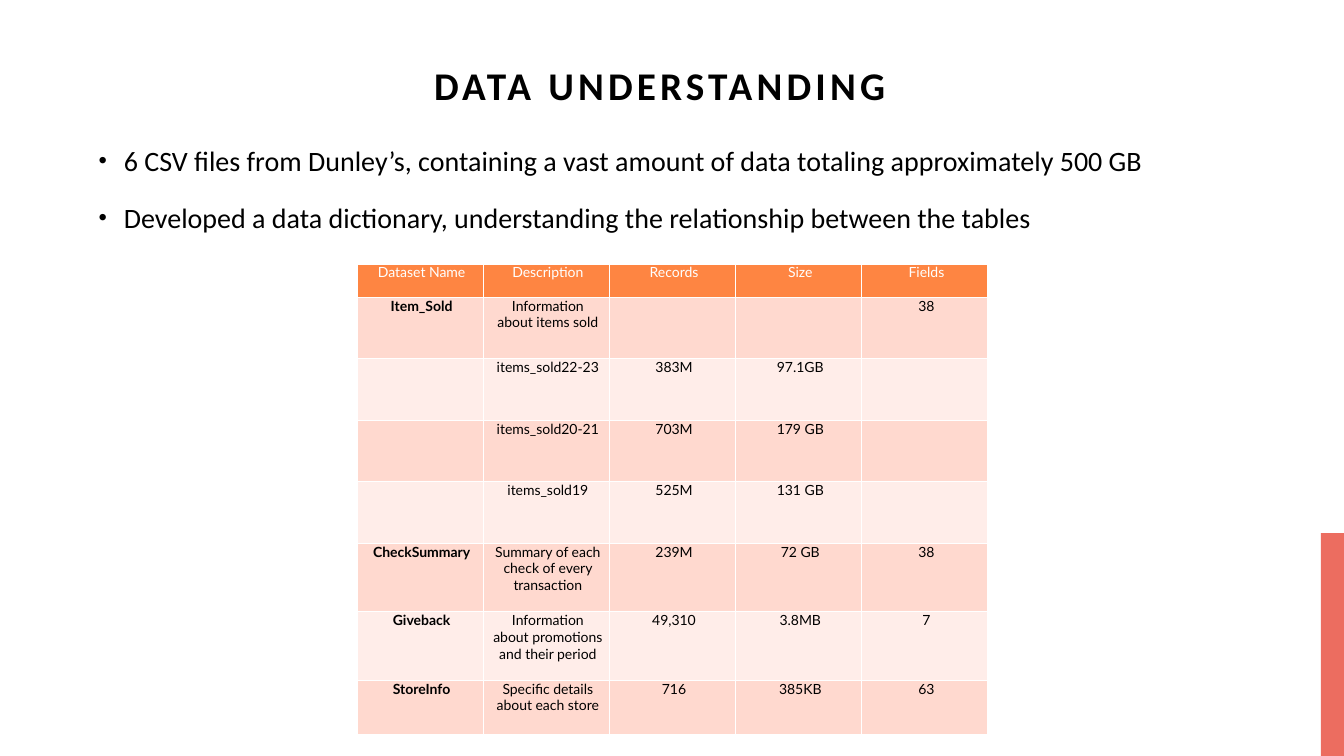
"""Build the data understanding slide with its dataset table."""
from lxml.etree import SubElement
from pptx import Presentation
from pptx.dml.color import RGBColor
from pptx.enum.shapes import MSO_SHAPE
from pptx.enum.text import MSO_ANCHOR, PP_ALIGN
from pptx.oxml.ns import qn
from pptx.util import Inches, Pt


def tint(hue):
    return RGBColor.from_string(hue)


def style(para, face, size, hue, bold=False):
    para.font.name = face
    para.font.size = Pt(size)
    para.font.bold = bold
    para.font.color.rgb = tint(hue)


deck = Presentation()
deck.slide_width, deck.slide_height = Inches(13.33), Inches(7.5)
wide, high = deck.slide_width, deck.slide_height
slide = deck.slides.add_slide(deck.slide_layouts[6])
shapes = slide.shapes

bar_w, bar_h = Inches(0.23), Inches(2.21)
bar = shapes.add_shape(MSO_SHAPE.RECTANGLE, wide - bar_w, high - bar_h, bar_w, bar_h)
bar.shadow.inherit = False
bar.fill.solid()
bar.fill.fore_color.rgb = tint("EC6D60")
bar.line.fill.background()

left, span = Inches(0.88), Inches(11.33)
title = shapes.add_textbox(left, 0, span, Inches(1.57)).text_frame
title.word_wrap = True
title.vertical_anchor = MSO_ANCHOR.BOTTOM
title.margin_bottom = Inches(0.49)
head = title.paragraphs[0]
head.text = "DATA UNDERSTANDING"
head.alignment = PP_ALIGN.CENTER
head.line_spacing = 1.2
style(head, "Calibri", 28, "000000", True)
head.runs[0].font._element.set("spc", "300")

points = [
    "6 CSV files from Dunley’s, containing a vast amount of data totaling approximately 500 GB",
    "Developed a data dictionary, understanding the relationship between the tables",
]
body = shapes.add_textbox(left, Inches(1.27), span, Inches(5.19)).text_frame
body.word_wrap = True
for i, point in enumerate(points):
    para = body.add_paragraph() if i else body.paragraphs[0]
    para.text = point
    para.line_spacing = 1.3
    para.space_before = Pt(10)
    style(para, "Calibri", 20, "000000")
    props = para._p.get_or_add_pPr()
    props.set("marL", str(Inches(0.25)))
    props.set("indent", str(-Inches(0.25)))
    mark = {"buSzPct": ("val", "85000"), "buFont": ("typeface", "Arial"), "buChar": ("char", "•")}
    rest = props.find(qn("a:defRPr"))
    for tag, (key, value) in mark.items():
        node = SubElement(props, qn("a:" + tag), {key: value})
        if rest is not None:
            rest.addprevious(node)

rows = [
    ("Dataset Name", "Description", "Records", "Size", "Fields"),
    ("Item_Sold", "Information about items sold", "", "", "38"),
    ("", "items_sold22-23", "383M", "97.1GB", ""),
    ("", "items_sold20-21", "703M", "179 GB", ""),
    ("", "items_sold19", "525M", "131 GB", ""),
    ("CheckSummary", "Summary of each check of every transaction", "239M", "72 GB", "38"),
    ("Giveback", "Information about promotions and their period", "49,310", "3.8MB", "7"),
    ("StoreInfo", "Specific details about each store", "716", "385KB", "63"),
]
tall = [0.33] + [0.61] * 4 + [0.68] * 2 + [0.54]
grid = shapes.add_table(
    len(rows), len(rows[0]), Inches(3.54), Inches(2.62), Inches(6.26), Inches(sum(tall))
).table

for r, row in enumerate(rows):
    grid.rows[r].height = Inches(tall[r])
    fill = ("FFD9CF" if r % 2 else "FFEDE9") if r else "FE8542"
    for c, text in enumerate(row):
        cell = grid.cell(r, c)
        cell.margin_left, cell.margin_right = Inches(0.1), Inches(0.07)
        cell.margin_top = cell.margin_bottom = 0
        for side in ("lnL", "lnR", "lnT", "lnB"):
            edge = SubElement(cell._tc.get_or_add_tcPr(), qn("a:" + side), w=str(Pt(1)))
            paint = SubElement(edge, qn("a:solidFill"))
            SubElement(paint, qn("a:srgbClr"), val="FFFFFF")
        cell.fill.solid()
        cell.fill.fore_color.rgb = tint(fill)
        para = cell.text_frame.paragraphs[0]
        para.text = text
        para.alignment = PP_ALIGN.CENTER
        style(para, "Lato", 10, "000000" if r else "FFFFFF", r > 0 and c == 0)

deck.save("out.pptx")
